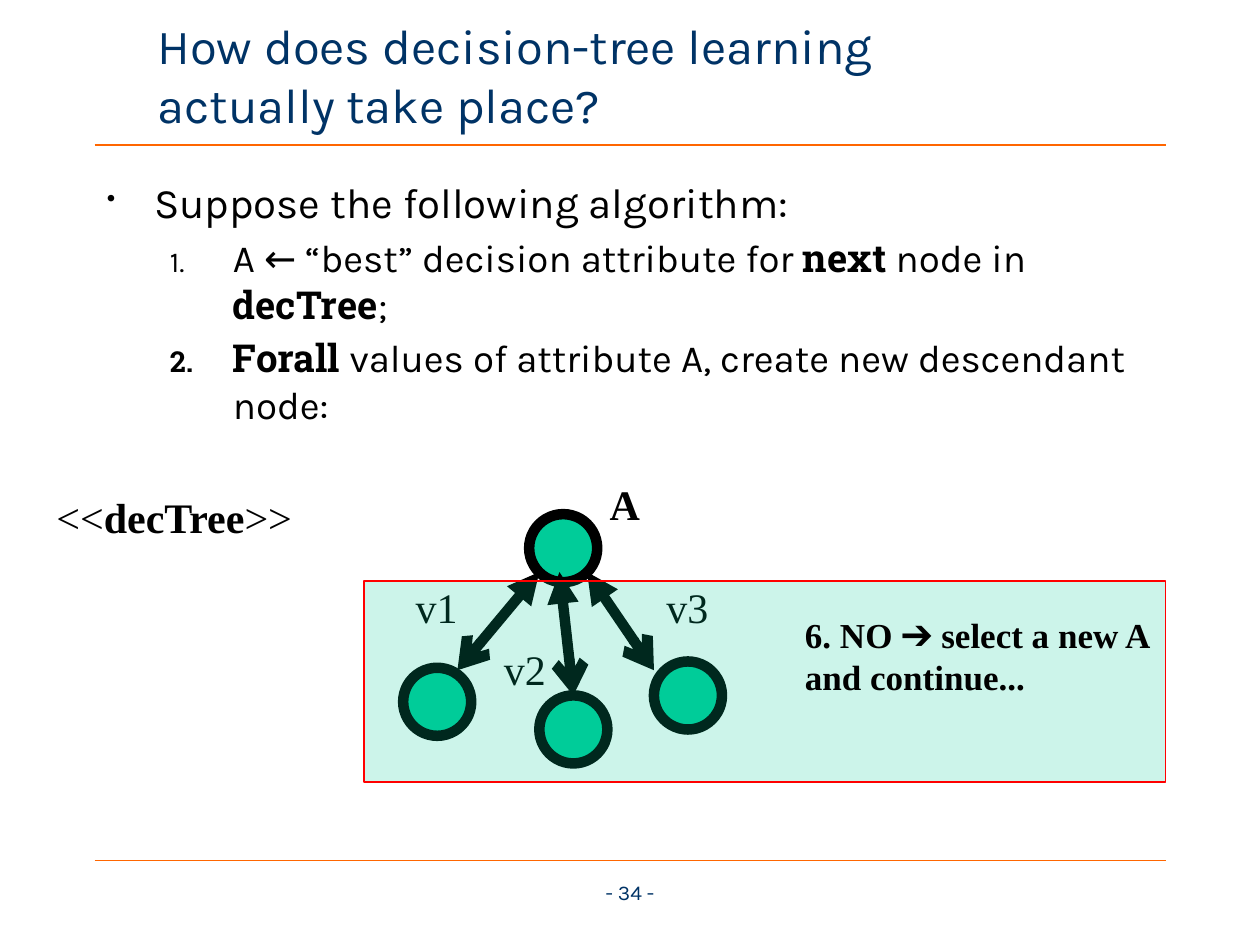
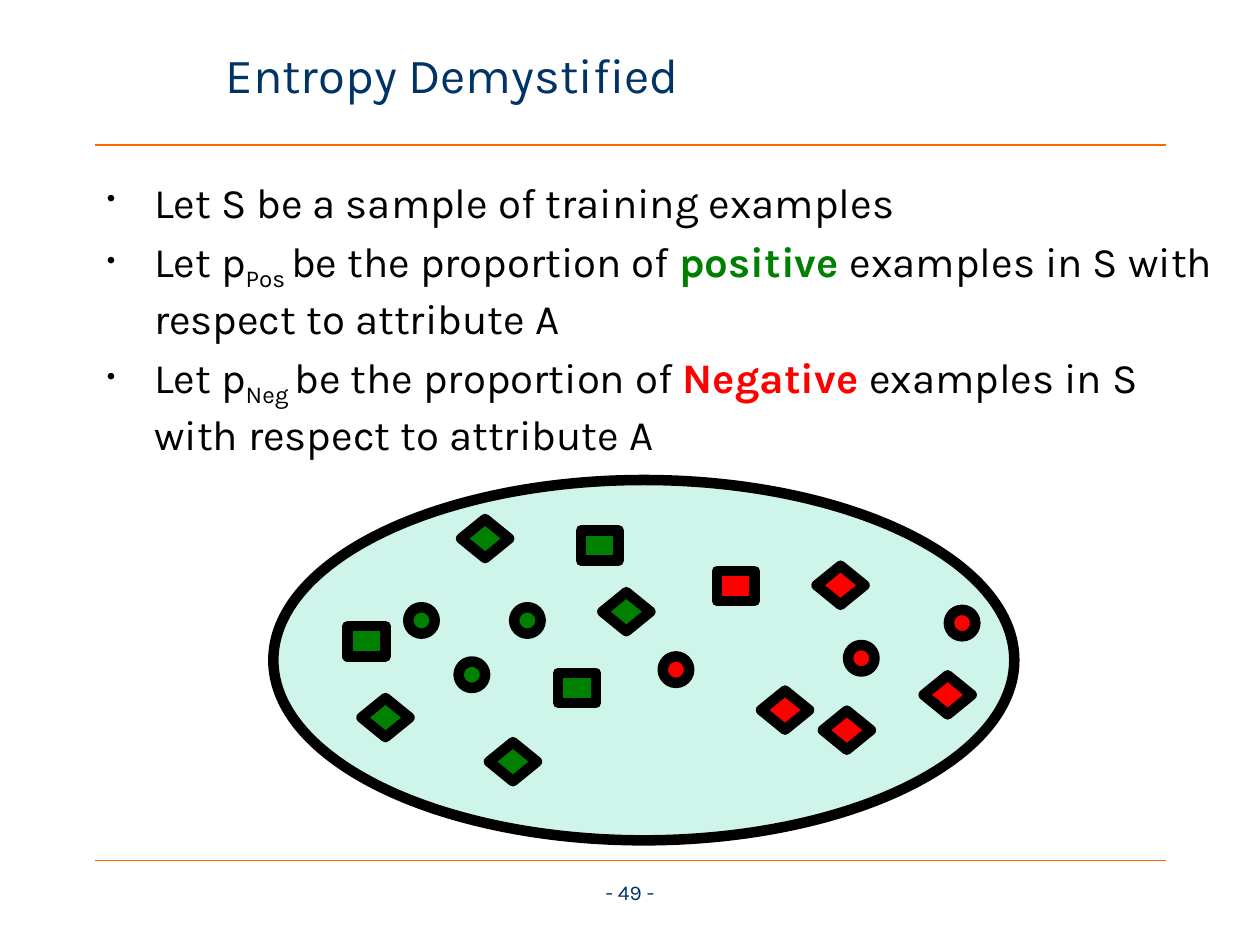
"""Build two slides on decision-tree learning and entropy."""
from lxml.etree import SubElement
from pptx import Presentation
from pptx.dml.color import RGBColor
from pptx.enum.shapes import MSO_CONNECTOR, MSO_SHAPE
from pptx.enum.text import MSO_ANCHOR, MSO_AUTO_SIZE, PP_ALIGN
from pptx.oxml.ns import qn
from pptx.util import Pt

NAVY, ORANGE, BLACK = "003366", "FF6600", "000000"
TEAL, GREEN, RED = "00CC99", "008000", "FF0000"
SANS, SLAB, SERIF = "Karla", "Roboto Slab", "Times New Roman"
STRONG = {"name": SLAB, "bold": True}
SUBSCRIPT = {"baseline": -25}
BULLET = ("a:buChar", {"char": "•"}, 60)
NUMBER = ("a:buAutoNum", {"type": "arabicPeriod"}, 75)


def color(hex_string):
    return RGBColor.from_string(hex_string)


class Deck:
    def __init__(self):
        self.presentation = Presentation()
        self.presentation.slide_width = Pt(720)
        self.presentation.slide_height = Pt(540)
        self.slide = None

    def start_slide(self, title, title_left, number):
        layout = self.presentation.slide_layouts[5]
        self.slide = self.presentation.slides.add_slide(layout)
        shape = self.slide.shapes.title
        shape.left, shape.top = Pt(title_left), Pt(9.4)
        shape.width, shape.height = Pt(447), Pt(66.2)
        frame = shape.text_frame
        frame.text = title
        frame.word_wrap = True
        frame.auto_size = MSO_AUTO_SIZE.NONE
        frame.vertical_anchor = MSO_ANCHOR.MIDDLE
        for paragraph in frame.paragraphs:
            paragraph.alignment = PP_ALIGN.LEFT
            self.style(paragraph.font, SANS, 28, NAVY)
        for y in (82.8, 491.8):
            self.line((54, y), (666, y), ORANGE, 0.75)
        paragraph = self.text((321.8, 499, 76.4, 18), [f"- {number} -"], SANS, 12, NAVY)
        paragraph.alignment = PP_ALIGN.CENTER

    def style(self, font, name=None, size=None, fill=None, bold=None, baseline=None):
        if name:
            font.name = name
        if size:
            font.size = Pt(size)
        if fill:
            font.color.rgb = color(fill)
        if bold is not None:
            font.bold = bold
        if baseline:
            font._element.set("baseline", str(baseline * 1000))

    def text_frame(self, box, wrap=True):
        frame = self.slide.shapes.add_textbox(*map(Pt, box)).text_frame
        frame.word_wrap = wrap
        return frame

    def fill_paragraph(self, paragraph, runs, *font, **options):
        self.style(paragraph.font, *font, **options)
        for item in runs:
            words, changes = (item, {}) if isinstance(item, str) else item
            run = paragraph.add_run()
            run.text = words
            self.style(run.font, **changes)

    def text(self, box, runs, name=SERIF, size=24, fill=BLACK, bold=False, wrap=True):
        paragraph = self.text_frame(box, wrap).paragraphs[0]
        self.fill_paragraph(paragraph, runs, name, size, fill, bold=bold)
        return paragraph

    def bullets(self, width, items):
        frame = self.text_frame((54, 97.2, width, 376.6))
        for index, (marker, runs) in enumerate(items):
            paragraph = frame.add_paragraph() if index else frame.paragraphs[0]
            numbered = marker is NUMBER
            size = 22 if numbered else 24
            tag, attributes, percent = marker
            properties = paragraph._p.get_or_add_pPr()
            properties.set("marL", str(Pt(72 if numbered else 27)))
            properties.set("indent", str(-Pt(36 if numbered else 27)))
            SubElement(properties, qn("a:buSzPct"), val=str(percent * 1000))
            SubElement(properties, qn(tag), **attributes)
            paragraph.space_before = Pt(size * 0.2 if index else 0)
            self.fill_paragraph(paragraph, runs, SANS, size, BLACK)

    def shape(self, kind, box, fill, line=BLACK, width=6, opacity=None):
        shape = self.slide.shapes.add_shape(kind, *map(Pt, box))
        shape.shadow.inherit = False
        shape.fill.solid()
        shape.fill.fore_color.rgb = color(fill)
        shape.line.color.rgb = color(line)
        shape.line.width = Pt(width)
        if opacity:
            solid = shape._element.spPr.find(qn("a:solidFill"))
            SubElement(solid[0], qn("a:alpha"), val=str(opacity * 1000))

    def line(self, start, end, stroke, width, heads=()):
        connector = self.slide.shapes.add_connector(
            MSO_CONNECTOR.STRAIGHT, *map(Pt, (*start, *end)))
        connector.line.color.rgb = color(stroke)
        connector.line.width = Pt(width)
        properties = connector._element.spPr
        for tag, head in zip(("a:headEnd", "a:tailEnd"), heads):
            SubElement(properties.find(qn("a:ln")), qn(tag), type=head)
        SubElement(properties, qn("a:effectLst"))


def build_tree_slide(deck):
    deck.start_slide("How does decision-tree learning\vactually take place?", 82.8, 34)
    deck.bullets(612, [
        (BULLET, ["Suppose the following algorithm:"]),
        (NUMBER, ["A ← “best” decision attribute for ", ("next", STRONG),
                  " node in ", ("decTree", STRONG), ";"]),
        (NUMBER, [("Forall ", STRONG),
                  "values of attribute A, create new descendant node:"]),
    ])
    deck.text((25.2, 277.2, 151.2, 36), ["<<", ("decTree", {"bold": True}), ">>"],
              wrap=False)
    node = 38.9
    deck.shape(MSO_SHAPE.OVAL, (302.4, 293.8, node, node), TEAL)
    deck.text((341.3, 270, 32.4, 36), ["A"], bold=True, wrap=False)
    branches = [
        ("v1", (230.4, 329), (308.2, 326.9), (261.4, 383), (230.4, 381.6)),
        ("v2", (280.8, 364.3), (319.7, 326.9), (327.6, 397.4), (308.2, 397.4)),
        ("v3", (373.7, 329), (335.5, 326.9), (373.7, 383), (373.7, 378)),
    ]
    for value, label, start, end, child in branches:
        deck.line(start, end, BLACK, 6, ("triangle", "arrow"))
        deck.text((*label, node, 36), [value], wrap=False)
        deck.shape(MSO_SHAPE.OVAL, (*child, node, node), TEAL)
    deck.shape(MSO_SHAPE.RECTANGLE, (208.1, 331.9, 457.9, 115.2), TEAL, RED, 1, 20)
    deck.text((452.9, 347, 221.8, 55.4), ["6. NO ➔ select a new A and continue..."],
              size=20, bold=True)


def build_entropy_slide(deck):
    deck.start_slide("Entropy Demystified", 121.7, 49)
    proportions = [
        (BULLET, ["Let p", (subscript, SUBSCRIPT), "be the proportion of ",
                  (word, {"fill": fill, "bold": True}),
                  "examples in S with respect to attribute A"])
        for subscript, word, fill in (("Pos ", "positive ", GREEN),
                                      ("Neg ", "Negative ", RED))
    ]
    deck.bullets(653, [(BULLET, ["Let S be a sample of training examples"]),
                       *proportions])
    deck.shape(MSO_SHAPE.OVAL, (156.2, 274.3, 423.4, 205.9), TEAL, opacity=19)
    examples = [
        (MSO_SHAPE.OVAL, (15.1, 15.1), GREEN,
         [(233.3, 347), (262.1, 378), (293.8, 347)]),
        (MSO_SHAPE.OVAL, (15.1, 15.1), RED,
         [(542.2, 348.5), (378.7, 375.1), (484.6, 368.6)]),
        (MSO_SHAPE.RECTANGLE, (21.6, 17.3), GREEN,
         [(331.9, 303.1), (319, 384.5), (198.7, 357.8)]),
        (MSO_SHAPE.RECTANGLE, (21.6, 17.3), RED, [(409.7, 326.2)]),
        (MSO_SHAPE.DIAMOND, (27.4, 22.3), GREEN,
         [(344.2, 338.4), (279.4, 424.1), (263.5, 296.6), (206.6, 398.9)]),
        (MSO_SHAPE.DIAMOND, (27.4, 22.3), RED,
         [(466.6, 323.3), (434.9, 394.6), (527.8, 385.9), (470.2, 406.1)]),
    ]
    for kind, size, fill, places in examples:
        for place in places:
            deck.shape(kind, (*place, *size), fill)


def main():
    deck = Deck()
    build_tree_slide(deck)
    build_entropy_slide(deck)
    deck.presentation.save("out.pptx")


if __name__ == "__main__":
    main()
